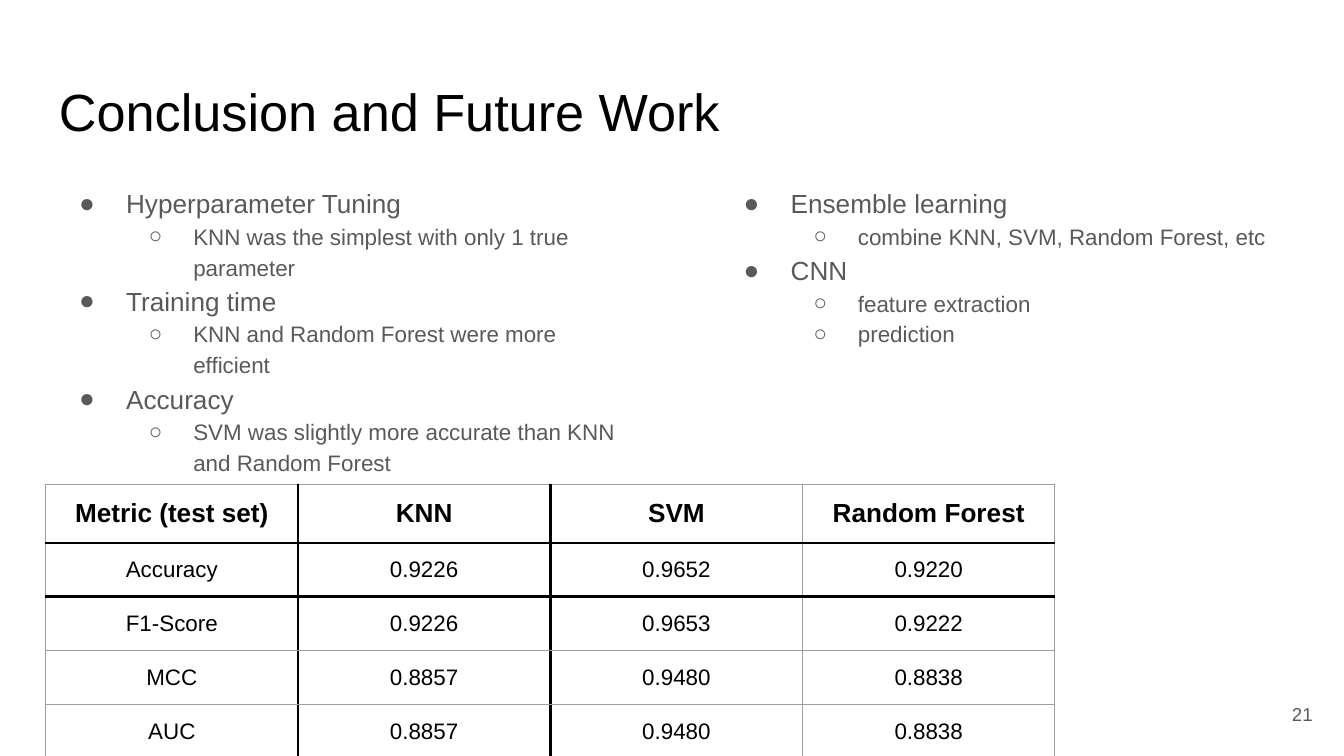
from dataclasses import dataclass

from lxml import etree
from pptx import Presentation
from pptx import util as u
from pptx.dml.color import RGBColor
from pptx.enum import text
from pptx.oxml import ns


@dataclass(frozen=True)
class Theme:
    font: str = "Arial"
    ink: str = "000000"
    muted: str = "595959"
    rule: str = "9E9E9E"
    title: int = 28
    topic: int = 14
    detail: int = 12
    number: int = 10
    thin: float = 0.75
    thick: float = 1.5
    line_spacing: float = 1.15
    inset: float = 0.1


@dataclass(frozen=True)
class Box:
    """Left, top, width and height as percentages of the slide."""
    left: float
    top: float
    width: float
    height: float

    def lengths(self) -> tuple:
        return (u.Inches(WIDTH * self.left / 100), u.Inches(HEIGHT * self.top / 100),
                u.Inches(WIDTH * self.width / 100), u.Inches(HEIGHT * self.height / 100))


@dataclass(frozen=True)
class Level:
    bullet: str
    margin: float
    indent: float
    size: int


@dataclass(frozen=True)
class Topic:
    name: str
    details: tuple[str, ...]


THEME = Theme()
WIDTH = 10
HEIGHT = WIDTH * 9 / 16
TITLE_BOX = Box(3.4, 8.71, 93.2, 11.2)
NUMBER_BOX = Box(92.65, 90.67, 6, 7.64)
TABLE_BOX = Box(3.4, 64.1, 75.1, 12.62)
HEADER_HEIGHT, ROW_HEIGHT = 0.11, 0.15
TOPIC_LEVEL = Level("●", 0.5, -0.35, THEME.topic)
DETAIL_LEVEL = Level("○", 1, -0.33, THEME.detail)

COLUMNS = {
    Box(3.4, 22.4, 43.7, 66.49): (
        Topic("Hyperparameter Tuning", ("KNN was the simplest with only 1 true parameter",)),
        Topic("Training time", ("KNN and Random Forest were more efficient",)),
        Topic("Accuracy", ("SVM was slightly more accurate than KNN and Random Forest",)),
    ),
    Box(52.85, 22.4, 43.7, 66.49): (
        Topic("Ensemble learning", ("combine KNN, SVM, Random Forest, etc",)),
        Topic("CNN", ("feature extraction", "prediction")),
    ),
}

METRICS = (
    ("Metric (test set)", "KNN", "SVM", "Random Forest"),
    ("Accuracy", "0.9226", "0.9652", "0.9220"),
    ("F1-Score", "0.9226", "0.9653", "0.9222"),
    ("MCC", "0.8857", "0.9480", "0.8838"),
    ("AUC", "0.8857", "0.9480", "0.8838"),
)


def format_runs(paragraph, size: int, color: str, bold: bool = False) -> None:
    for run in paragraph.runs:
        run.font.name = THEME.font
        run.font.size = u.Pt(size)
        run.font.bold = bold
        run.font.color.rgb = RGBColor.from_string(color)


def set_insets(target) -> None:
    target.margin_left = target.margin_right = u.Inches(THEME.inset)
    target.margin_top = target.margin_bottom = u.Inches(THEME.inset)


def add_text_frame(slide, box: Box):
    frame = slide.shapes.add_textbox(*box.lengths()).text_frame
    frame.word_wrap = True
    set_insets(frame)
    return frame


def add_label(slide, box: Box, label: str, size: int, color: str,
              alignment=text.PP_ALIGN.LEFT, anchor=text.MSO_ANCHOR.TOP) -> None:
    frame = add_text_frame(slide, box)
    frame.text = label
    frame.vertical_anchor = anchor
    frame.paragraphs[0].alignment = alignment
    format_runs(frame.paragraphs[0], size, color)


def set_bullet(paragraph, level: Level) -> None:
    properties = paragraph._p.get_or_add_pPr()
    properties.set("marL", str(u.Inches(level.margin)))
    properties.set("indent", str(u.Inches(level.indent)))
    color = etree.SubElement(properties, ns.qn("a:buClr"))
    etree.SubElement(color, ns.qn("a:srgbClr"), val=THEME.muted)
    etree.SubElement(properties, ns.qn("a:buFont"), typeface=THEME.font)
    etree.SubElement(properties, ns.qn("a:buChar"), char=level.bullet)


def add_topics(slide, box: Box, topics: tuple[Topic, ...]) -> None:
    frame = add_text_frame(slide, box)
    lines = [(line, level, depth) for topic in topics
             for line, level, depth in [(topic.name, TOPIC_LEVEL, 0)]
             + [(detail, DETAIL_LEVEL, 1) for detail in topic.details]]
    for index, (line, level, depth) in enumerate(lines):
        paragraph = frame.add_paragraph() if index else frame.paragraphs[0]
        paragraph.text = line
        set_bullet(paragraph, level)
        paragraph.level = depth
        paragraph.line_spacing = THEME.line_spacing
        format_runs(paragraph, level.size, THEME.muted)


def set_borders(cell, heavy_sides: dict[str, bool]) -> None:
    properties = cell._tc.get_or_add_tcPr()
    for side, heavy in heavy_sides.items():
        width = u.Pt(THEME.thick if heavy else THEME.thin)
        line = etree.SubElement(properties, ns.qn(f"a:ln{side}"), w=str(width))
        fill = etree.SubElement(line, ns.qn("a:solidFill"))
        etree.SubElement(fill, ns.qn("a:srgbClr"), val=THEME.ink if heavy else THEME.rule)
        etree.SubElement(line, ns.qn("a:prstDash"), val="solid")


def remove_table_style(table) -> None:
    properties = table._tbl.tblPr
    for style in properties.findall(ns.qn("a:tableStyleId")):
        properties.remove(style)


def add_metrics_table(slide, box: Box) -> None:
    table = slide.shapes.add_table(len(METRICS), len(METRICS[0]), *box.lengths()).table
    table.first_row = table.horz_banding = False
    remove_table_style(table)
    for row, values in enumerate(METRICS):
        header = row == 0
        table.rows[row].height = u.Inches(HEADER_HEIGHT if header else ROW_HEIGHT)
        for column, value in enumerate(values):
            cell = table.cell(row, column)
            cell.text = value
            cell.vertical_anchor = text.MSO_ANCHOR.MIDDLE
            set_insets(cell)
            set_borders(cell, {"L": column in (1, 2), "R": column in (0, 1),
                               "T": row in (1, 2), "B": row in (0, 1)})
            cell.fill.background()
            paragraph = cell.text_frame.paragraphs[0]
            paragraph.alignment = text.PP_ALIGN.CENTER
            format_runs(paragraph, THEME.topic if header else THEME.detail, THEME.ink, header)


def main() -> None:
    presentation = Presentation()
    presentation.slide_width = u.Inches(WIDTH)
    presentation.slide_height = u.Inches(HEIGHT)
    slide = presentation.slides.add_slide(presentation.slide_layouts[6])
    add_label(slide, TITLE_BOX, "Conclusion and Future Work", THEME.title, THEME.ink)
    add_label(slide, NUMBER_BOX, "21", THEME.number, THEME.muted,
              text.PP_ALIGN.RIGHT, text.MSO_ANCHOR.MIDDLE)
    for box, topics in COLUMNS.items():
        add_topics(slide, box, topics)
    add_metrics_table(slide, TABLE_BOX)
    presentation.save("out.pptx")


if __name__ == "__main__":
    main()
